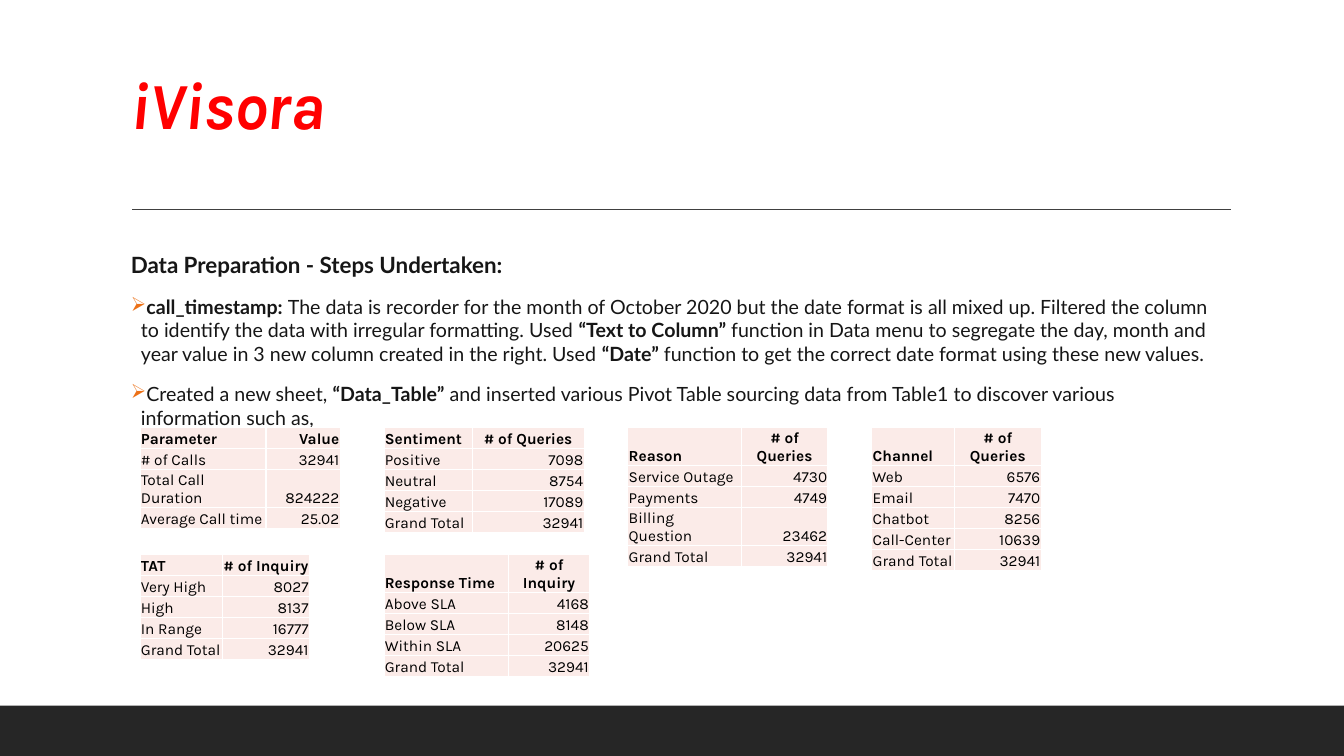
from lxml import etree
from pptx import Presentation
from pptx.dml.color import RGBColor
from pptx.enum.shapes import MSO_CONNECTOR as CONNECTOR, MSO_SHAPE as SHAPE
from pptx.enum.text import MSO_ANCHOR as ANCHOR, PP_ALIGN as ALIGN
from pptx.oxml.ns import qn
from pptx.util import Pt

COLORS = {
    "footer": "262626", "rule": "404040", "body": "161616", "title": "FF0000",
    "bullet": "EC7016", "cell": "FBEBE8", "border": "FFFFFF", "table": "000000",
}

STEPS = [
    [("call_timestamp: ", True),
     ("The data is recorder for the month of October 2020 but the date format is all "
      "mixed up. Filtered the column to identify the data with irregular formatting. "
      "Used ", False),
     ("“Text to Column” ", True),
     ("function in Data menu to segregate the day, month and year value in 3 new column "
      "created in the right. Used ", False),
     ("“Date”", True),
     (" function to get the correct date format using these new values.", False)],
    [("Created a new sheet, ", False),
     ("“Data_Table”", True),
     (" and inserted various Pivot Table sourcing data from Table1 to discover various "
      "information such as,", False)],
]

TOTAL = ("Grand Total", "32941")
TABLE_LEFT, TABLE_PITCH = 100, 174.25
TABLE_TOPS = [305.3, 396]
ROW_HEIGHT = 15

# (grid column, grid row, column widths, header alignment, rows)
TABLES = [
    (0, 0, (90, 53), ALIGN.RIGHT,
     [("Parameter", "Value"), ("# of Calls", "32941"),
      ("Total Call Duration", "824222"), ("Average Call time", "25.02")]),
    (0, 1, (59, 62), ALIGN.CENTER,
     [("TAT", "# of Inquiry"), ("Very High", "8027"), ("High", "8137"),
      ("In Range", "16777"), TOTAL]),
    (1, 1, (89, 58), ALIGN.CENTER,
     [("Response Time", "# of Inquiry"), ("Above SLA", "4168"), ("Below SLA", "8148"),
      ("Within SLA", "20625"), TOTAL]),
    (2, 0, (81, 62), ALIGN.CENTER,
     [("Reason", "# of Queries"), ("Service Outage", "4730"), ("Payments", "4749"),
      ("Billing Question", "23462"), TOTAL]),
    (3, 0, (59, 62), ALIGN.CENTER,
     [("Channel", "# of Queries"), ("Web", "6576"), ("Email", "7470"),
      ("Chatbot", "8256"), ("Call-Center", "10639"), TOTAL]),
    (1, 0, (63, 80), ALIGN.CENTER,
     [("Sentiment", "# of Queries"), ("Positive", "7098"), ("Neutral", "8754"),
      ("Negative", "17089"), TOTAL]),
]


def rgb(name):
    return RGBColor.from_string(COLORS[name])


def set_all(target, values):
    for name, value in values.items():
        setattr(target, name, value)


def add_run(paragraph, text, color, **font_values):
    run = paragraph.add_run()
    run.text = text
    set_all(run.font, font_values)
    run.font.color.rgb = rgb(color)
    return run


def add_footer(slide):
    shape = slide.shapes.add_shape(SHAPE.RECTANGLE, 0, Pt(504), Pt(960), Pt(36))
    shape.shadow.inherit = False
    shape.fill.solid()
    shape.fill.fore_color.rgb = rgb("footer")
    shape.line.fill.background()


def add_rule(slide):
    rule = slide.shapes.add_connector(
        CONNECTOR.STRAIGHT, Pt(94.4), Pt(149.6), Pt(879.2), Pt(149.6))
    rule.line.color.rgb = rgb("rule")
    rule.line.width = Pt(1)
    etree.SubElement(rule._element.spPr, qn("a:effectLst"))


def add_text_frame(slide, top, height, anchor):
    box = slide.shapes.add_textbox(Pt(86.4), Pt(top), Pt(792), Pt(height))
    set_all(box.text_frame, {"word_wrap": True, "vertical_anchor": anchor})
    return box.text_frame


def add_title(slide):
    paragraph = add_text_frame(slide, 22.3, 84.2, ANCHOR.BOTTOM).paragraphs[0]
    paragraph.line_spacing = 0.9
    run = add_run(paragraph, "iVisora", "title",
                  name="Karla", size=Pt(47), bold=True, italic=True)
    run._r.get_or_add_rPr().set("spc", "-50")


def add_bullet(paragraph):
    properties = paragraph._p.get_or_add_pPr()
    properties.set("marL", str(Pt(7.2)))
    properties.set("indent", str(-Pt(7.2)))
    color = etree.SubElement(properties, qn("a:buClr"))
    etree.SubElement(color, qn("a:srgbClr"), val=COLORS["bullet"])
    etree.SubElement(properties, qn("a:buChar"), char="➢")


def add_steps(slide):
    frame = add_text_frame(slide, 166.3, 296, ANCHOR.TOP)
    heading = frame.paragraphs[0]
    set_all(heading, {"line_spacing": 1.5, "space_after": Pt(6)})
    add_run(heading, "Data Preparation - Steps Undertaken:", "body",
            name="Lato", size=Pt(16), bold=True)
    for step in STEPS:
        paragraph = frame.add_paragraph()
        add_bullet(paragraph)
        set_all(paragraph, {"space_before": Pt(6), "space_after": Pt(6)})
        for text, bold in step:
            add_run(paragraph, text, "body", name="Lato", size=Pt(14), bold=bold)


def add_borders(cell):
    properties = cell._tc.get_or_add_tcPr()
    for side in ("lnL", "lnR", "lnT", "lnB"):
        line = etree.SubElement(properties, qn(f"a:{side}"), w=str(Pt(1)))
        fill = etree.SubElement(line, qn("a:solidFill"))
        etree.SubElement(fill, qn("a:srgbClr"), val=COLORS["border"])


def fill_cell(cell, text, bold, alignment):
    add_borders(cell)
    cell.fill.solid()
    cell.fill.fore_color.rgb = rgb("cell")
    set_all(cell, {
        "vertical_anchor": ANCHOR.BOTTOM, "margin_left": Pt(0.6),
        "margin_right": Pt(0.6), "margin_top": Pt(0.6), "margin_bottom": 0,
    })
    paragraph = cell.text_frame.paragraphs[0]
    paragraph.alignment = alignment
    add_run(paragraph, text, "table", name="Karla", size=Pt(11), bold=bold)


def add_summary_table(slide, grid_column, grid_row, widths, header_alignment, rows):
    table = slide.shapes.add_table(
        len(rows), len(widths),
        Pt(TABLE_LEFT + TABLE_PITCH * grid_column), Pt(TABLE_TOPS[grid_row]),
        Pt(sum(widths)), Pt(ROW_HEIGHT * len(rows))).table
    set_all(table, {"first_row": False, "horz_banding": False})
    for column, width in zip(table.columns, widths):
        column.width = Pt(width)
    for index, (label, value) in enumerate(rows):
        is_header = index == 0
        table.rows[index].height = Pt(ROW_HEIGHT)
        fill_cell(table.cell(index, 0), label, is_header, ALIGN.LEFT)
        fill_cell(table.cell(index, 1), value, is_header,
                  header_alignment if is_header else ALIGN.RIGHT)


def main():
    presentation = Presentation()
    set_all(presentation, {"slide_width": Pt(960), "slide_height": Pt(540)})
    slide = presentation.slides.add_slide(presentation.slide_layouts[6])
    add_footer(slide)
    add_rule(slide)
    add_steps(slide)
    add_title(slide)
    for table in TABLES:
        add_summary_table(slide, *table)
    presentation.save("out.pptx")


if __name__ == "__main__":
    main()
